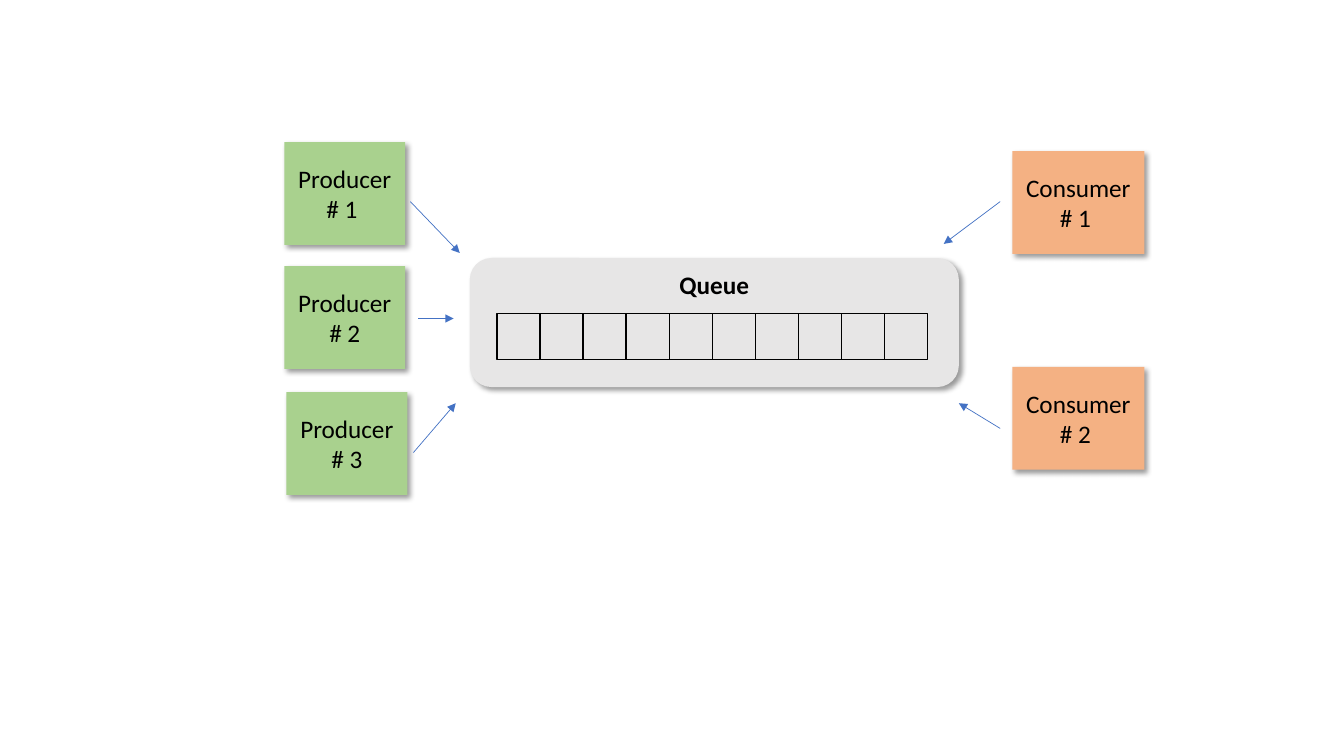
from dataclasses import dataclass

from lxml import etree
from pptx import Presentation
from pptx.dml.color import RGBColor
from pptx.enum.shapes import MSO_CONNECTOR, MSO_SHAPE
from pptx.enum.text import MSO_ANCHOR, PP_ALIGN
from pptx.oxml.ns import qn
from pptx.shapes.autoshape import Shape
from pptx.shapes.connector import Connector
from pptx.slide import Slide
from pptx.util import Inches, Length, Pt

RECTANGLE = MSO_SHAPE.RECTANGLE
ROUNDED = MSO_SHAPE.ROUNDED_RECTANGLE
STRAIGHT = MSO_CONNECTOR.STRAIGHT
CENTER = PP_ALIGN.CENTER
TOP, MIDDLE = MSO_ANCHOR.TOP, MSO_ANCHOR.MIDDLE

COLORS = {
    "queue": "E7E6E6",
    "producer": "A9D18E",
    "consumer": "F4B183",
    "arrow": "4472C4",
    "ink": "000000",
}
FONT = "Calibri"

# Positions and sizes count columns and rows of a grid with 0.1 inch steps.
GRID_STEP = 0.1
SLOT_COUNT = 10
SLOT_LEFT, SLOT_TOP = 49.3, 31.1
SLOT_WIDTH, SLOT_HEIGHT = 4.27, 4.6


@dataclass(frozen=True)
class Node:
    lines: tuple[str, ...]
    left: float
    top: float
    width: float
    height: float
    color: str
    preset: MSO_SHAPE = RECTANGLE
    anchor: MSO_ANCHOR = MIDDLE
    bold: bool = False


@dataclass(frozen=True)
class Arrow:
    start: tuple[float, float]
    end: tuple[float, float]


def producer(number: str, left: float, top: float) -> Node:
    return Node(("Producer", number), left, top, 12, 10.2, "producer")


def consumer(number: str, top: float) -> Node:
    return Node(("Consumer", number), 100.4, top, 13.1, 10.2, "consumer")


QUEUE = Node(("Queue",), 46.6, 25.6, 48.5, 12.8, "queue", ROUNDED, TOP, True)
WORKERS = (
    producer("# 1 ", 28.2, 14.1),
    producer("# 2", 28.2, 26.4),
    producer("# 3", 28.4, 38.9),
    consumer("# 1 ", 15),
    consumer("# 2 ", 36.4),
)
ARROWS = (
    Arrow((40.7, 20), (45.6, 25.1)),
    Arrow((41, 44.9), (45.2, 40)),
    Arrow((41.5, 31.6), (45, 31.6)),
    Arrow((99.2, 20), (93.6, 24.2)),
    Arrow((99.2, 42.5), (95.1, 40)),
)


def grid(*steps: float) -> list[Length]:
    return [Inches(step * GRID_STEP) for step in steps]


def color(name: str) -> RGBColor:
    return RGBColor.from_string(COLORS[name])


def add_shadow(shape: Shape) -> None:
    effects = shape._element.spPr.find(qn("a:effectLst"))
    shadow = etree.SubElement(
        effects, qn("a:outerShdw"), blurRad=str(Pt(4)), dist=str(Pt(3)),
        dir=str(45 * 60000), algn="tl", rotWithShape="0",
    )
    tint = etree.SubElement(shadow, qn("a:srgbClr"), val=COLORS["ink"])
    etree.SubElement(tint, qn("a:alpha"), val="40000")


def write_text(shape: Shape, lines: tuple[str, ...], *, size: float = 18,
               bold: bool = False, anchor: MSO_ANCHOR = MIDDLE) -> None:
    frame = shape.text_frame
    frame.word_wrap = True
    frame.vertical_anchor = anchor
    for index, line in enumerate(lines):
        para = frame.add_paragraph() if index else frame.paragraphs[0]
        para.alignment = CENTER
        span = para.add_run()
        span.text = line
        span.font.name = FONT
        span.font.size = Pt(size)
        span.font.bold = bold
        span.font.color.rgb = color("ink")


def draw_node(page: Slide, node: Node) -> Shape:
    box = page.shapes.add_shape(
        node.preset, *grid(node.left, node.top, node.width, node.height))
    box.fill.solid()
    box.fill.fore_color.rgb = color(node.color)
    box.line.fill.background()
    box.shadow.inherit = False
    add_shadow(box)
    write_text(box, node.lines, bold=node.bold, anchor=node.anchor)
    return box


def draw_slots(page: Slide) -> None:
    for index in range(SLOT_COUNT):
        left = SLOT_LEFT + index * SLOT_WIDTH
        slot = page.shapes.add_shape(
            RECTANGLE, *grid(left, SLOT_TOP, SLOT_WIDTH, SLOT_HEIGHT))
        slot.fill.background()
        slot.line.color.rgb = color("ink")
        slot.line.width = Pt(1)
        slot.shadow.inherit = False


def draw_arrow(page: Slide, arrow: Arrow) -> Connector:
    connector = page.shapes.add_connector(
        STRAIGHT, *grid(*arrow.start, *arrow.end))
    connector.line.color.rgb = color("arrow")
    connector.line.width = Pt(0.5)
    etree.SubElement(connector.line._get_or_add_ln(), qn("a:tailEnd"),
                     type="triangle")
    etree.SubElement(connector._element.spPr, qn("a:effectLst"))
    return connector


def main() -> None:
    deck = Presentation()
    deck.slide_width, deck.slide_height = Inches(13.33), Inches(7.5)
    page = deck.slides.add_slide(deck.slide_layouts[6])
    draw_node(page, QUEUE)
    draw_slots(page)
    for worker in WORKERS:
        draw_node(page, worker)
    for arrow in ARROWS:
        draw_arrow(page, arrow)
    deck.save("out.pptx")


if __name__ == "__main__":
    main()
